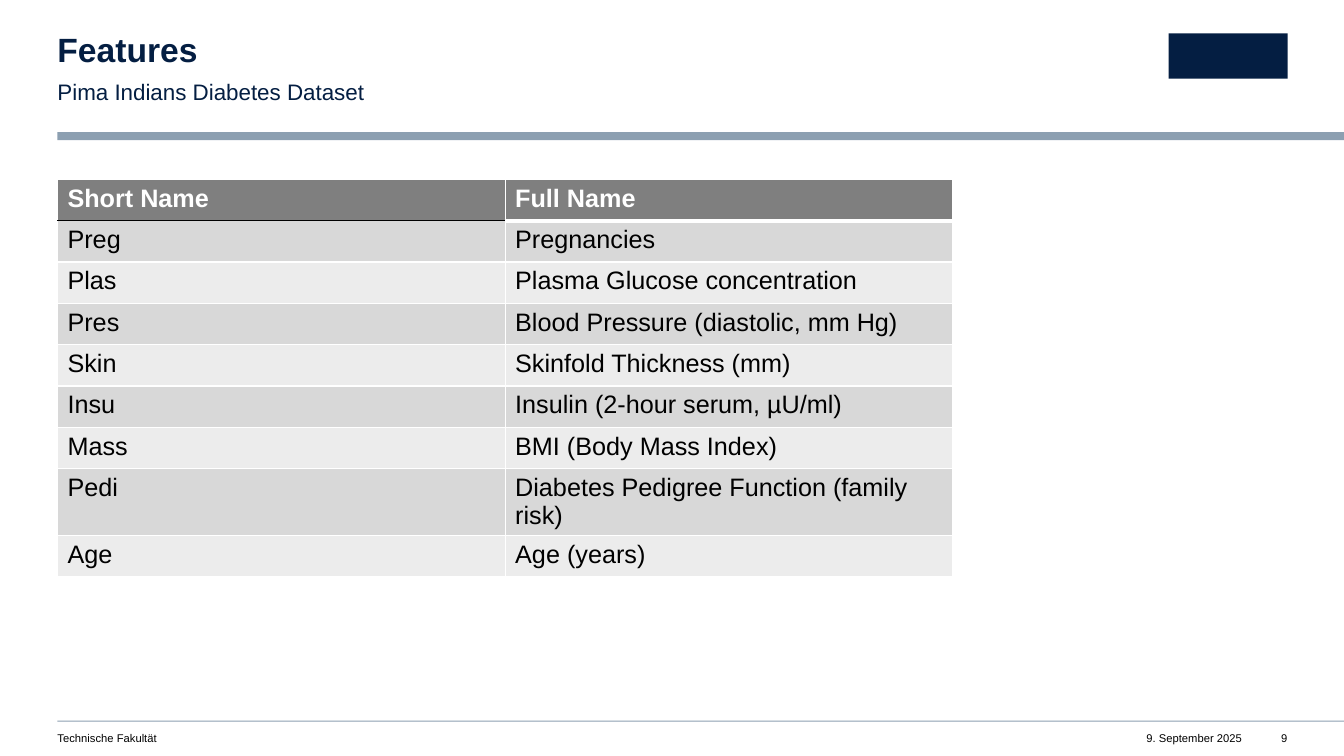
import pptx
import pptx.util
import pptx.dml.color
import pptx.enum.shapes
import pptx.enum.text
import lxml.etree
from pptx.util import Inches

NAVY, STEEL, BLACK, WHITE = "041E42", "8C9FB1", "000000", "FFFFFF"
LEFT = pptx.enum.text.PP_ALIGN.LEFT
RIGHT = pptx.enum.text.PP_ALIGN.RIGHT


def paint(colour_format, colour):
    colour_format.rgb = pptx.dml.color.RGBColor.from_string(colour)


def write(frame, text, size, colour, bold=False, **paragraph_format):
    """Fill a text frame with one formatted paragraph."""
    frame.text = text
    paragraph = frame.paragraphs[0]
    for name, value in paragraph_format.items():
        setattr(paragraph, name, value)
    font = paragraph.runs[0].font
    font_format = {"name": "Arial", "size": pptx.util.Pt(size), "bold": bold}
    for name, value in font_format.items():
        setattr(font, name, value)
    paint(font.color, colour)
    return paragraph


presentation = pptx.Presentation()
presentation.slide_width = Inches(13.33)
presentation.slide_height = Inches(7.5)
slide = presentation.slides.add_slide(presentation.slide_layouts[1])

# Header rule, footer rule and emblem block
for left, top, width, height, colour in [
    (0.57, 1.31, 12.76, 0.08, STEEL),
    (0.57, 7.15, 12.76, 0.01, STEEL),
    (11.59, 0.33, 1.18, 0.45, NAVY),
]:
    block = slide.shapes.add_shape(
        pptx.enum.shapes.MSO_SHAPE.RECTANGLE,
        Inches(left), Inches(top), Inches(width), Inches(height))
    block.shadow.inherit = False
    block.fill.solid()
    paint(block.fill.fore_color, colour)
    block.line.fill.background()

# Heading and footer texts
heading = slide.shapes.title
subheading = slide.placeholders[1]
faculty, date, page_number = [
    slide.shapes.add_textbox(0, 0, 0, 0) for _ in range(3)]
plain = {"alignment": LEFT}
flush_right = {"alignment": RIGHT}
for holder, box, wrap, text, size, colour, bold, paragraph_format in [
    (heading, (0.57, 0.33, 7.49, 0.36), True, "Features", 24, NAVY, True,
     {"alignment": LEFT, "line_spacing": 0.9}),
    (subheading, (0.57, 0.75, 7.49, 0.27), True,
     "Pima Indians Diabetes Dataset", 16, NAVY, False,
     {"alignment": LEFT, "line_spacing": 1.1, "space_before": 0,
      "space_after": pptx.util.Pt(12)}),
    (faculty, (0.57, 7.26, 5.98, 0.13), True, "Technische Fakultät",
     8, BLACK, False, plain),
    (date, (11.39, 7.26, 0.93, 0.13), False, "9. September 2025",
     8, BLACK, False, flush_right),
    (page_number, (12.56, 7.26, 0.21, 0.13), False, "9",
     8, BLACK, False, flush_right),
]:
    for name, value in zip(("left", "top", "width", "height"), box):
        setattr(holder, name, Inches(value))
    frame_format = {
        "margin_left": 0, "margin_top": 0, "margin_right": 0,
        "margin_bottom": 0, "word_wrap": wrap,
        "auto_size": pptx.enum.text.MSO_AUTO_SIZE.NONE,
        "vertical_anchor": pptx.enum.text.MSO_ANCHOR.TOP,
    }
    for name, value in frame_format.items():
        setattr(holder.text_frame, name, value)
    write(holder.text_frame, text, size, colour, bold, **paragraph_format)

# The subheading carries no bullet
subheading_properties = subheading.text_frame.paragraphs[0]._p.get_or_add_pPr()
subheading_properties.set("marL", "0")
subheading_properties.set("indent", "0")
lxml.etree.SubElement(subheading_properties, pptx.oxml.ns.qn("a:buNone"))

# Feature table
features = [
    ("Short Name", "Full Name"),
    ("Preg", "Pregnancies"),
    ("Plas", "Plasma Glucose concentration"),
    ("Pres", "Blood Pressure (diastolic, mm Hg)"),
    ("Skin", "Skinfold Thickness (mm)"),
    ("Insu", "Insulin (2-hour serum, µU/ml)"),
    ("Mass", "BMI (Body Mass Index)"),
    ("Pedi", "Diabetes Pedigree Function (family risk)"),
    ("Age", "Age (years)"),
]
feature_table = slide.shapes.add_table(
    len(features), 2, Inches(0.57), Inches(1.78),
    Inches(8.88), Inches(0.41 * len(features))).table
for row, names in enumerate(features):
    feature_table.rows[row].height = Inches(0.41)
    is_header = row == 0
    fill = "7F7F7F" if is_header else ("ECECEC", "D8D8D8")[row % 2]
    for column, name in enumerate(names):
        cell = feature_table.cell(row, column)
        write(cell.text_frame, name, 18, WHITE if is_header else BLACK, is_header)

        borders = dict.fromkeys(("lnL", "lnR", "lnT", "lnB"), (WHITE, 1))
        header_edge = ((BLACK, 1), (WHITE, 3))[column]
        if is_header:
            borders["lnB"] = header_edge
        elif row == 1:
            borders["lnT"] = header_edge
        cell_properties = cell._tc.get_or_add_tcPr()
        for side, (colour, points) in borders.items():
            border = lxml.etree.SubElement(
                cell_properties, pptx.oxml.ns.qn(f"a:{side}"),
                w=str(pptx.util.Pt(points)))
            border_fill = lxml.etree.SubElement(
                border, pptx.oxml.ns.qn("a:solidFill"))
            lxml.etree.SubElement(
                border_fill, pptx.oxml.ns.qn("a:srgbClr"), val=colour)

        cell.fill.solid()
        paint(cell.fill.fore_color, fill)

presentation.save("out.pptx")
